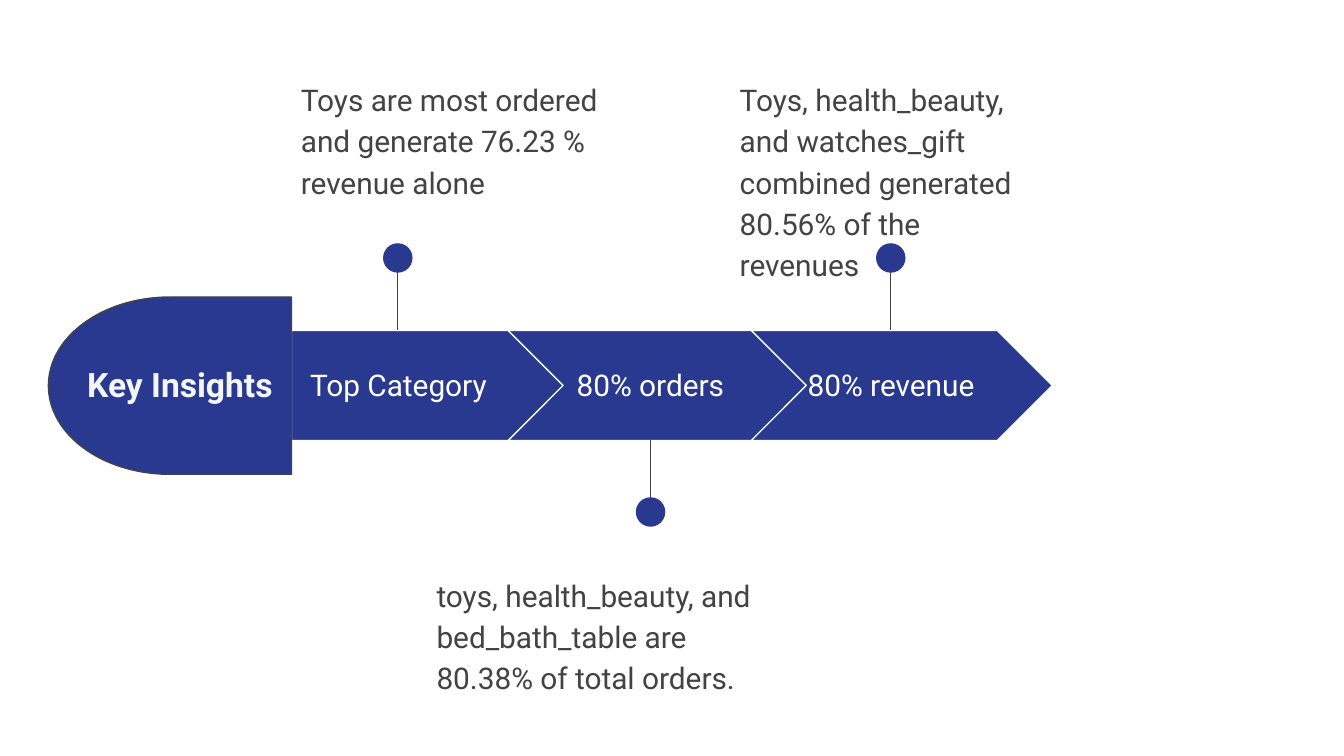
from lxml.etree import SubElement
from pptx import Presentation
from pptx.dml.color import RGBColor
from pptx.enum.shapes import MSO_CONNECTOR, MSO_SHAPE
from pptx.enum.text import MSO_ANCHOR, PP_ALIGN
from pptx.oxml.ns import qn
from pptx.util import Pt

BLUE, GREY, WHITE, PALE = "2A3990", "434343", "FFFFFF", "F4F5F7"
BAND_TOP, BAND_H = 177, 59
DOT = 15.8
LABEL_TOP, LABEL_H = 188, 36.5

# shape, left, width, label, label left, label width
STEPS = [
    (MSO_SHAPE.PENTAGON, 156.2, 147.6, "Top Category", 156.2, 114.5),
    (MSO_SHAPE.CHEVRON, 272.2, 161.3, "80% orders", 296.6, 103.7),
    (MSO_SHAPE.CHEVRON, 402.5, 161.3, "80% revenue", 425.5, 103.7),
]
# pin centre, is above the band, text left, top, width, text
NOTES = [
    (213.1, True, 154.1, 33.8, 176.4,
     "Toys are most ordered and generate 76.23 % revenue alone"),
    (348.5, False, 226.8, 299.2, 184.3,
     "toys, health_beauty, and bed_bath_table are 80.38% of total orders."),
    (477.2, True, 389.2, 33.8, 176.4,
     "Toys, health_beauty, and watches_gift combined generated 80.56% of the revenues"),
]


def color(value):
    return RGBColor.from_string(value)


def add_filled(s, kind, left, top, width, height, line=None):
    sp = s.shapes.add_shape(kind, Pt(left), Pt(top), Pt(width), Pt(height))
    sp.shadow.inherit = False
    sp.fill.solid()
    sp.fill.fore_color.rgb = color(BLUE)
    if line:
        sp.line.color.rgb = color(line)
        sp.line.width = Pt(0.75)
    else:
        sp.line.fill.background()
    return sp


def add_text(s, left, top, width, height, text, rgb, size=16, bold=False):
    """Add a wrapped text box and return its text frame."""
    tf = s.shapes.add_textbox(Pt(left), Pt(top), Pt(width), Pt(height)).text_frame
    tf.word_wrap = True
    tf.margin_left = tf.margin_right = tf.margin_top = tf.margin_bottom = Pt(7.2)
    tf.text = text
    font = tf.paragraphs[0].runs[0].font
    font.name, font.size, font.bold = "Roboto", Pt(size), bold
    font.color.rgb = color(rgb)
    return tf


def add_step(s, kind, left, width, label, label_left, label_width):
    add_filled(s, kind, left, BAND_TOP, width, BAND_H, WHITE)
    tf = add_text(s, label_left, LABEL_TOP, label_width, LABEL_H, label, WHITE)
    tf.vertical_anchor = MSO_ANCHOR.MIDDLE
    tf.paragraphs[0].alignment = PP_ALIGN.CENTER


def add_pin(s, x, above):
    """Add a stem from the band edge with a dot at its far end."""
    if above:
        edge, end, dot_top = BAND_TOP, 133.2, 130.3
    else:
        edge, end, dot_top = BAND_TOP + BAND_H, 278.6, 266.4
    stem = s.shapes.add_connector(
        MSO_CONNECTOR.STRAIGHT, Pt(x), Pt(end), Pt(x), Pt(edge))
    stem.line.color.rgb = color(GREY)
    stem.line.width = Pt(0.75)
    SubElement(stem._element.spPr, qn("a:effectLst"))
    add_filled(s, MSO_SHAPE.OVAL, x - DOT / 2, dot_top, DOT, DOT)


def add_note(s, x, above, left, top, width, text):
    add_pin(s, x, above)
    p = add_text(s, left, top, width, 71.3, text, GREY).paragraphs[0]
    p.line_spacing = 1.15
    p.space_after = Pt(16)


def add_heading(s):
    sp = add_filled(s, MSO_SHAPE.FLOWCHART_DELAY, 25.9, 159.1, 130.3, 95, GREY)
    sp.rotation = 180
    add_text(s, 39.6, LABEL_TOP, 114.5, 36, "Key Insights", PALE, 18, True)


def main():
    prs = Presentation()
    prs.slide_width, prs.slide_height = Pt(720), Pt(405)
    s = prs.slides.add_slide(prs.slide_layouts[6])
    for step, note in zip(STEPS, NOTES):
        add_step(s, *step)
        add_note(s, *note)
    add_heading(s)
    prs.save("out.pptx")


if __name__ == "__main__":
    main()
